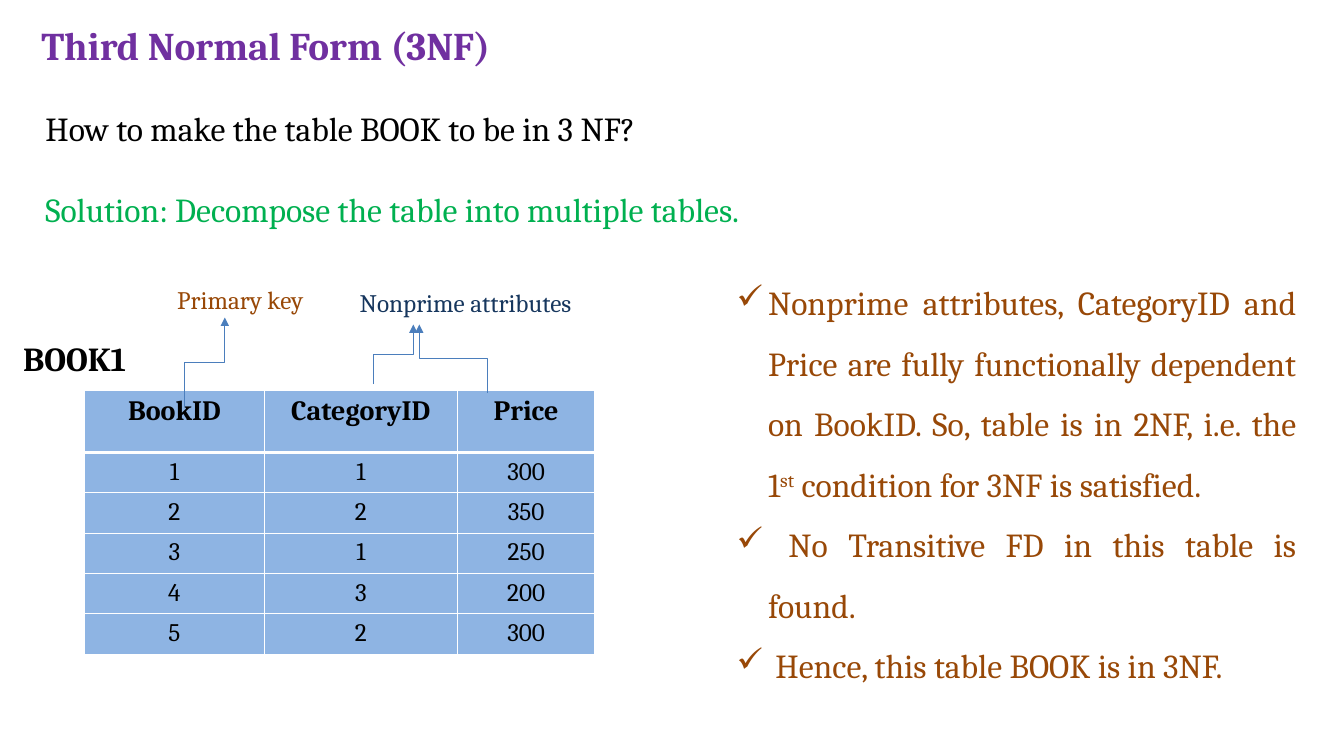
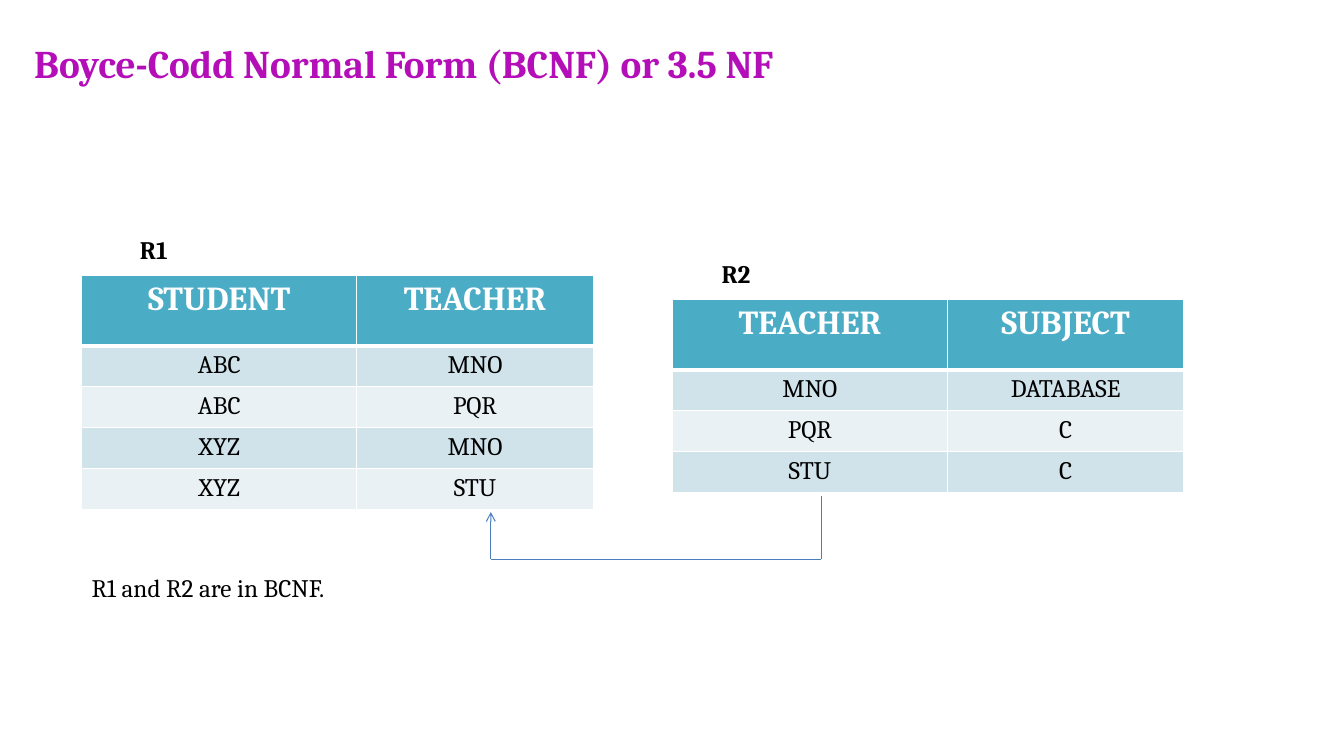
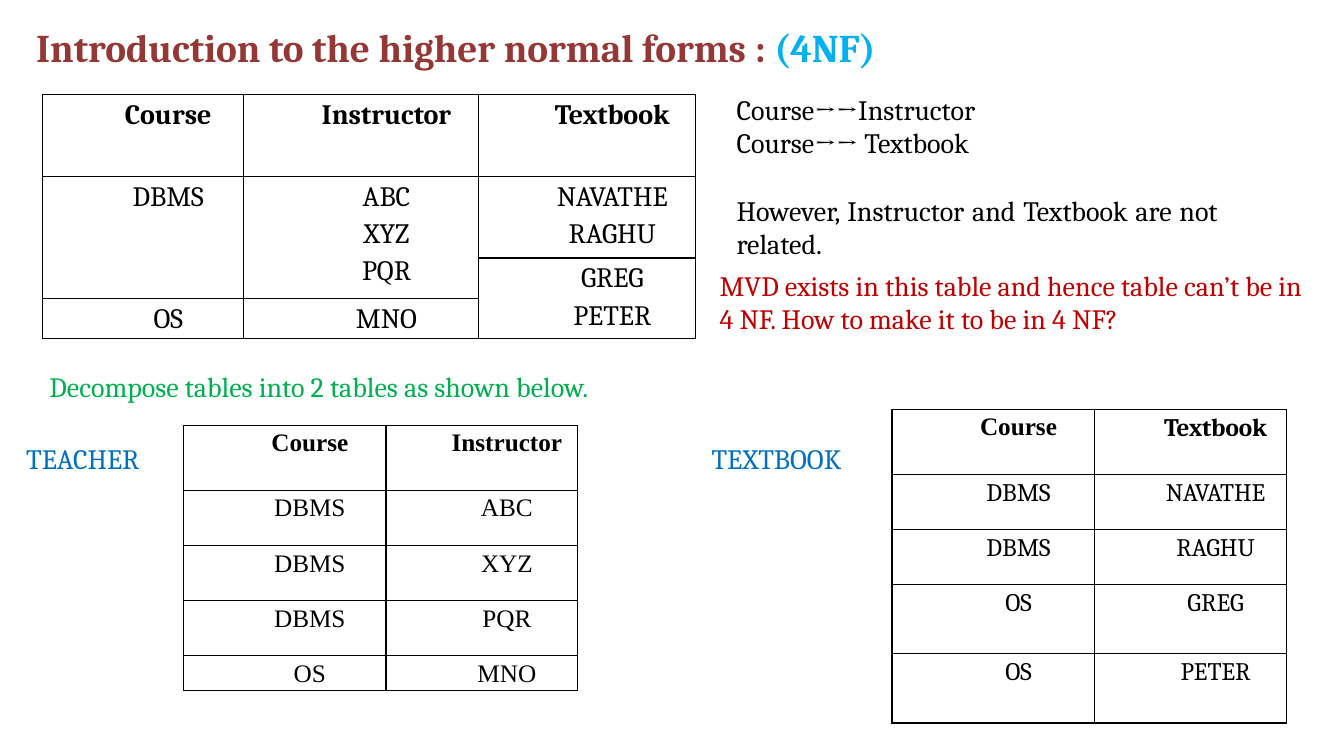
from dataclasses import dataclass, field

from lxml import etree
from pptx import Presentation
from pptx.dml.color import RGBColor
from pptx.enum import shapes, text
from pptx.oxml import ns
from pptx.util import Pt

BLACK = RGBColor(0x00, 0x00, 0x00)
WHITE = RGBColor(0xFF, 0xFF, 0xFF)
PURPLE = RGBColor(0x70, 0x30, 0xA0)
MAGENTA = RGBColor(0xB4, 0x0E, 0xB8)
MAROON = RGBColor(0x95, 0x37, 0x35)
RED = RGBColor(0xC0, 0x00, 0x00)
BROWN = RGBColor(0x98, 0x48, 0x07)
GREEN = RGBColor(0x00, 0xB0, 0x50)
SKY = RGBColor(0x00, 0xB0, 0xF0)
BLUE = RGBColor(0x00, 0x70, 0xC0)
NAVY = RGBColor(0x17, 0x37, 0x5E)
LINE_BLUE = RGBColor(0x4B, 0x7E, 0xBC)
CELL_BLUE = RGBColor(0x8E, 0xB4, 0xE3)
TEAL = RGBColor(0x4B, 0xAC, 0xC6)
BAND_DARK = RGBColor(0xD0, 0xE3, 0xEA)
BAND_LIGHT = RGBColor(0xE9, 0xF1, 0xF5)

SERIF = "Cambria"
TIMES = "Times New Roman"
CENTER = text.PP_ALIGN.CENTER
JUSTIFY = text.PP_ALIGN.JUSTIFY


@dataclass
class TableLook:
    """Body fills alternate from the first row under the header; None is no fill."""
    header_fill: RGBColor = None
    body_fills: tuple = (None,)
    border: RGBColor = BLACK
    header_rule: float = 1
    header: dict = field(default_factory=dict)
    body: dict = field(default_factory=dict)
    layout: dict = field(default_factory=lambda: {"alignment": CENTER})
    margins: tuple = (7.2, 3.6)
    indent: float = 0


def outlined(size, name=SERIF):
    return TableLook(header=dict(size=size, name=name, bold=True),
                     body=dict(size=size, name=name),
                     layout=dict(alignment=CENTER, line_spacing=1.15),
                     margins=(5, 0), indent=36)


BOOK_LOOK = TableLook(CELL_BLUE, (CELL_BLUE,), WHITE, 3,
                      dict(size=20, bold=True), dict(size=18))
BANDED_LOOK = TableLook(TEAL, (BAND_DARK, BAND_LIGHT), WHITE, 3,
                        dict(size=24, bold=True, color=WHITE), dict(size=18))


class Deck:
    def __init__(self):
        self.file = Presentation()
        self.file.slide_width, self.file.slide_height = Pt(960), Pt(540)
        self.slide = None

    def add_slide(self):
        self.slide = self.file.slides.add_slide(self.file.slide_layouts[6])

    def put_paragraphs(self, frame, paragraphs, font, layout=None, gaps=None,
                       indent=0, hanging=0, bullet=None):
        """A paragraph is a string or a list of (string, font changes);
        gaps maps a paragraph's number to the space before it."""
        for number, runs in enumerate(paragraphs):
            paragraph = frame.add_paragraph() if number else frame.paragraphs[0]
            for key, value in (layout or {}).items():
                setattr(paragraph, key, value)
            if number in (gaps or {}):
                paragraph.space_before = Pt(gaps[number])
            properties = paragraph._p.get_or_add_pPr()
            if indent:
                properties.set("marL", str(Pt(indent)))
                properties.set("indent", str(Pt(-hanging)))
            if bullet:
                etree.SubElement(properties, ns.qn("a:buChar"), char=bullet)
            for words, changes in [(runs, {})] if isinstance(runs, str) else runs:
                self.add_run(paragraph, words, {**font, **changes})

    def add_run(self, paragraph, words, font):
        run = paragraph.add_run()
        run.text = words
        values = {"name": SERIF, "color": BLACK, "bold": False, **font}
        run.font.color.rgb = values.pop("color")
        if values.pop("superscript", False):
            run.font._element.set("baseline", "30000")
        values["size"] = Pt(values["size"])
        for key, value in values.items():
            setattr(run.font, key, value)

    def text(self, left, top, width, height, paragraphs, size, color=BLACK,
             bold=False, inset=True, middle=False, **options):
        box = self.slide.shapes.add_textbox(Pt(left), Pt(top), Pt(width), Pt(height))
        frame = box.text_frame
        frame.word_wrap = True
        if middle:
            frame.vertical_anchor = text.MSO_ANCHOR.MIDDLE
        if not inset:
            for side in ("left", "top", "right", "bottom"):
                setattr(frame, f"margin_{side}", 0)
        self.put_paragraphs(frame, paragraphs, dict(size=size, color=color, bold=bold),
                            **options)

    def title(self, left, top, runs, color):
        self.text(left, top, 828, 34, [runs], 28, color, bold=True, inset=False)

    def table(self, left, top, widths, heights, rows, look, merges=()):
        frame = self.slide.shapes.add_table(
            len(rows), len(widths), Pt(left), Pt(top),
            Pt(sum(widths)), Pt(sum(heights)))
        grid = frame.table
        grid.first_row = grid.horz_banding = False
        for column, width in zip(grid.columns, widths):
            column.width = Pt(width)
        for index, (row, height) in enumerate(zip(grid.rows, heights)):
            row.height = Pt(height)
            for cell, content in zip(row.cells, rows[index]):
                self.fill_cell(cell, index, content, look)
        for first, last in merges:
            grid.cell(*first).merge(grid.cell(*last))

    def fill_cell(self, cell, row, content, look):
        across, down = look.margins
        cell.margin_left = cell.margin_right = Pt(across)
        cell.margin_top = cell.margin_bottom = Pt(down)
        self.borders(cell, row, look)
        fill = look.body_fills[(row - 1) % len(look.body_fills)] if row else look.header_fill
        if fill is None:
            cell.fill.background()
        else:
            cell.fill.solid()
            cell.fill.fore_color.rgb = fill
        if content:
            paragraphs = content.split("\n") if isinstance(content, str) else [content]
            self.put_paragraphs(cell.text_frame, paragraphs,
                                look.body if row else look.header,
                                look.layout, indent=look.indent)

    def borders(self, cell, row, look):
        properties = cell._tc.get_or_add_tcPr()
        for side in "LRTB":
            under_header = (row, side) in ((0, "B"), (1, "T"))
            width = look.header_rule if under_header else 1
            line = etree.SubElement(properties, ns.qn(f"a:ln{side}"), w=str(Pt(width)))
            paint = etree.SubElement(line, ns.qn("a:solidFill"))
            etree.SubElement(paint, ns.qn("a:srgbClr"), val=str(look.border))

    def line(self, start, end, kind=shapes.MSO_CONNECTOR.STRAIGHT, head=None):
        connector = self.slide.shapes.add_connector(kind, *map(Pt, start + end))
        connector.line.color.rgb = LINE_BLUE
        connector.line.width = Pt(0.75)
        if head:
            etree.SubElement(connector.line._get_or_add_ln(), ns.qn("a:tailEnd"), type=head)
        etree.SubElement(connector._element.spPr, ns.qn("a:effectLst"))
        return connector

    def rising_elbow(self, start, end):
        """Elbow arrow that leaves and arrives upwards: a level one turned by 270 degrees."""
        (x1, y1), (x2, y2) = start, end
        middle_x, middle_y = (x1 + x2) / 2, (y1 + y2) / 2
        rise, shift = (y1 - y2) / 2, (x2 - x1) / 2
        elbow = self.line((middle_x - rise, middle_y - shift),
                          (middle_x + rise, middle_y + shift),
                          shapes.MSO_CONNECTOR.ELBOW, "triangle")
        elbow._element.spPr.xfrm.set("rot", str(270 * 60000))


def third_normal_form(deck):
    deck.add_slide()
    deck.title(29.5, 15, "Third Normal Form (3NF)", PURPLE)
    deck.text(32.4, 77, 744, 87,
              ["How to make the table BOOK to be in 3 NF?",
               [("Solution: Decompose the table into multiple tables.", {"color": GREEN})]],
              24, inset=False, gaps={1: 29})
    deck.table(60.5, 278.6, [128.2, 138.2, 97.9], [44.6] + [28.8] * 5,
               [("BookID", "CategoryID", "Price"), ("1", "1", "300"), ("2", "2", "350"),
                ("3", "1", "250"), ("4", "3", "200"), ("5", "2", "300")], BOOK_LOOK)
    deck.text(9.4, 237.6, 130, 36, ["BOOK1"], 24, bold=True)
    deck.text(119.5, 199.4, 111, 28.8, ["Primary key"], 18, BROWN)
    deck.text(249.8, 201.6, 194, 28.8, ["Nonprime attributes"], 18, NAVY)
    for start, end in [((131.8, 290.9), (160.6, 226.8)),
                       ((267.1, 274.3), (295.2, 231.8)),
                       ((348.5, 280.8), (299.5, 231.8))]:
        deck.rising_elbow(start, end)
    deck.text(519, 183.6, 414, 356.4,
              [[("Nonprime attributes, CategoryID and Price are fully functionally "
                 "dependent on BookID. So, table is in 2NF, i.e. the 1", {}),
                ("st", {"superscript": True}),
                (" condition for 3NF is satisfied.", {})],
               " No Transitive FD in this table is found.",
               " Hence, this table BOOK is in 3NF."],
              24, BROWN, layout=dict(alignment=JUSTIFY, line_spacing=1.5),
              indent=22.5, hanging=22.5, bullet="✓")


def boyce_codd_form(deck):
    deck.add_slide()
    deck.title(24.5, 28, "Boyce-Codd Normal Form (BCNF) or 3.5 NF", MAGENTA)
    relations = [
        (58.3, 196.6, "R1", 92.9,
         [("STUDENT", "TEACHER"), ("ABC", "MNO"), ("ABC", "PQR"),
          ("XYZ", "MNO"), ("XYZ", "STU")]),
        (480.2, 213.8, "R2", 508.3,
         [("TEACHER", "SUBJECT"), ("MNO", "DATABASE"), ("PQR", "C"), ("STU", "C")]),
    ]
    for left, top, label, label_left, rows in relations:
        deck.table(left, top, [196.6, 168.8], [50.4] + [29.2] * (len(rows) - 1),
                   rows, BANDED_LOOK)
        deck.text(label_left, top - 33, 60, 28.8, [label], 18, bold=True)
    deck.text(58.3, 405.4, 394, 28.8, ["R1 and R2 are in BCNF."], 18,
              layout={"alignment": JUSTIFY})
    reference = [(586.8, 354.2), (586.8, 399.6), (350.6, 399.6), (350.6, 365.8)]
    for start, end in zip(reference, reference[1:]):
        deck.line(start, end, head="arrow" if end == reference[-1] else None)


def fourth_normal_form(deck):
    deck.add_slide()
    deck.title(25.9, 16.6, [("Introduction to the higher normal forms : ", {}),
                            ("(4NF)", {"color": SKY})], MAROON)
    deck.table(30.2, 67.7, [144, 167.8, 154.8], [58.3, 58.3, 28.8, 28.8],
               [("Course", "Instructor", "Textbook"),
                ("DBMS", "ABC\nXYZ\nPQR", "NAVATHE\nRAGHU"),
                (None, None, "GREG\nPETER"),
                ("OS", "MNO", None)], outlined(20),
               [((1, 0), (2, 0)), ((1, 1), (2, 1)), ((2, 2), (3, 2))])
    deck.text(519, 62, 358, 128,
              ["Course→→Instructor", "Course→→ Textbook",
               "However, Instructor and Textbook are not related."],
              20, middle=True, layout={"alignment": JUSTIFY}, gaps={2: 24})
    deck.text(514, 191.5, 428, 48.2,
              ["MVD exists in this table and hence table can’t be in 4 NF. "
               "How to make it to be in 4 NF?"], 20, RED, inset=False)
    deck.text(35.3, 264.2, 461.5, 24.5,
              ["Decompose tables into 2 tables as shown below."], 20, GREEN, inset=False)
    parts = [
        ("TEACHER", 18.7, 131, 303.8, [39.4, 25], outlined(18, TIMES),
         [("Course", "Instructor"), ("DBMS", "ABC"), ("DBMS", "XYZ"),
          ("DBMS", "PQR"), ("OS", "MNO")]),
        ("TEXTBOOK", 508.3, 637.2, 292.3, [49.5, 49.5], outlined(18),
         [([("Course", {"name": TIMES})], "Textbook"), ("DBMS", "NAVATHE"),
          ("DBMS", "RAGHU"), ("OS", "GREG"), ("OS", "PETER")]),
    ]
    for label, label_left, left, top, last_heights, look, rows in parts:
        deck.text(label_left, 315.4, 112, 24.5, [label], 20, BLUE, inset=False)
        deck.table(left, top, [144.7, 136.8], [46.4, 39.4, 39.4] + last_heights, rows, look)


def main():
    deck = Deck()
    third_normal_form(deck)
    boyce_codd_form(deck)
    fourth_normal_form(deck)
    deck.file.save("out.pptx")


if __name__ == "__main__":
    main()
